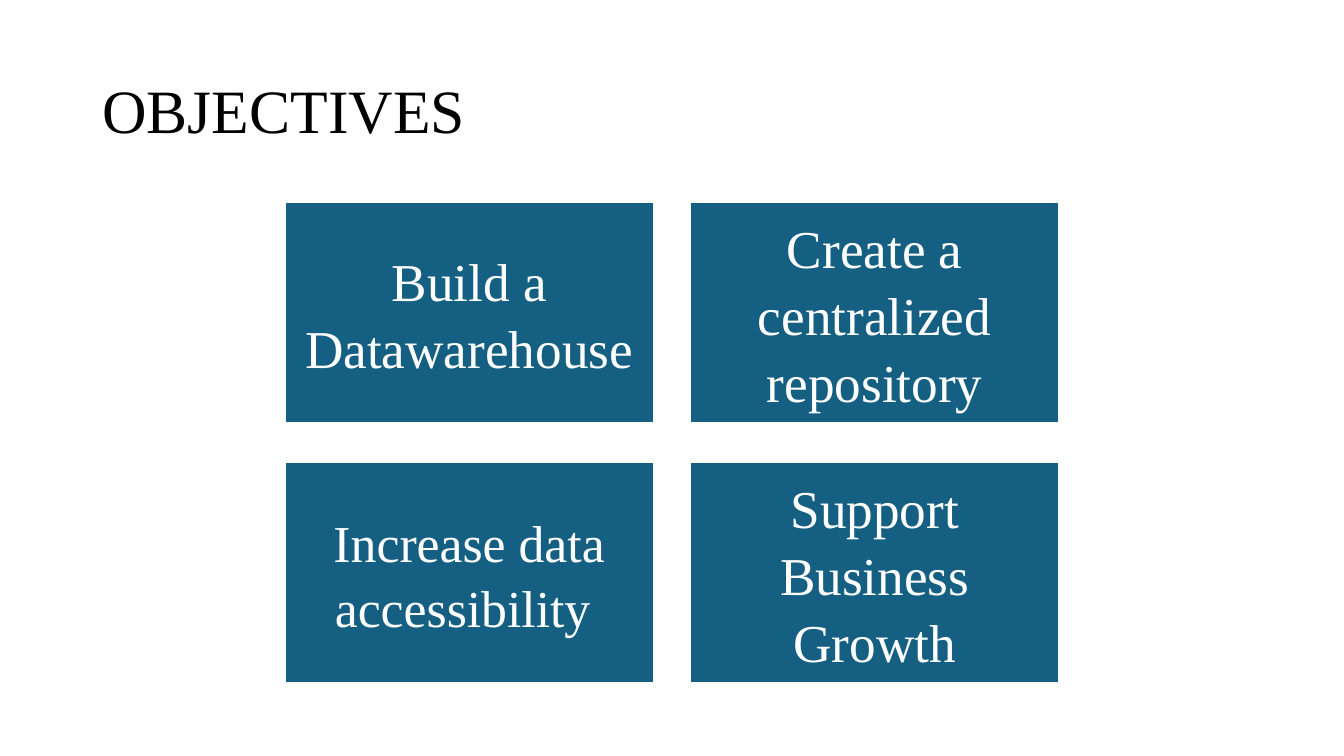
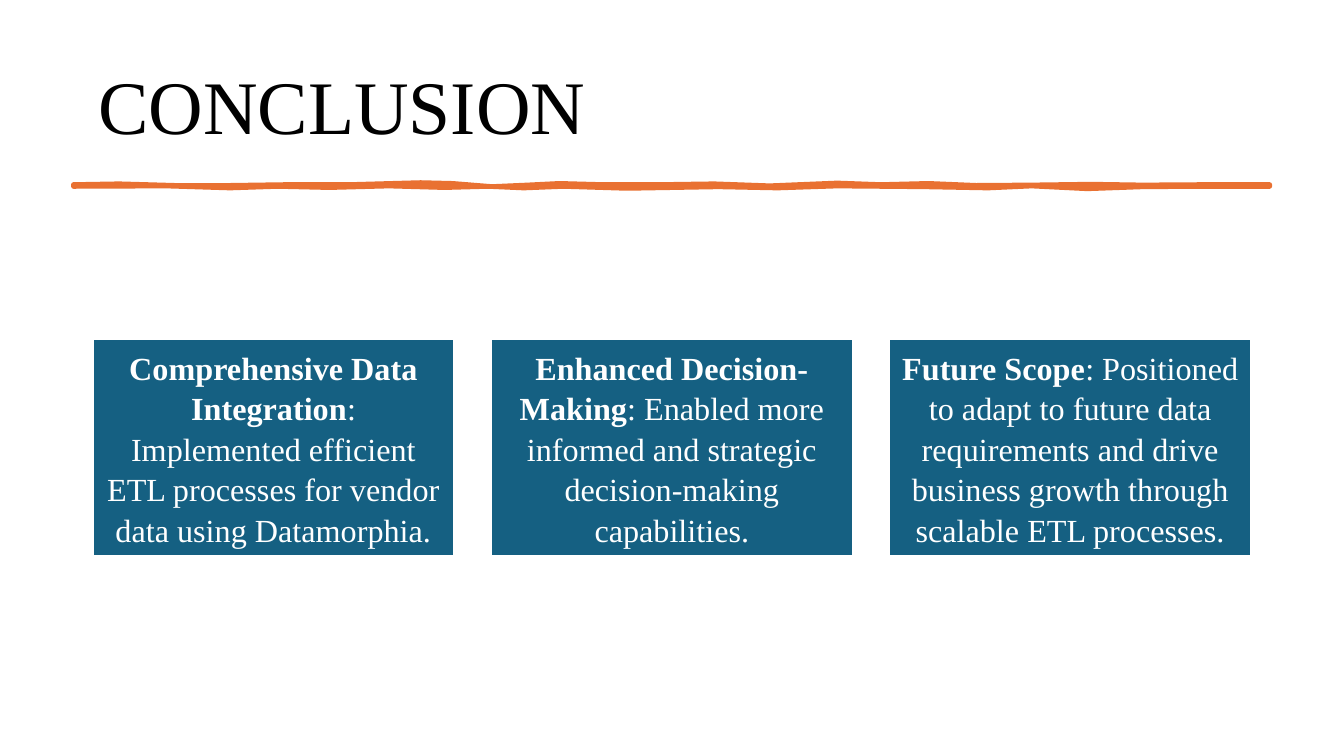
"""Build the objectives and conclusion slides."""
from dataclasses import dataclass

from pptx import Presentation
from pptx.dml.color import RGBColor
from pptx.enum.shapes import MSO_SHAPE as Shape
from pptx.enum.text import MSO_ANCHOR as Anchor, PP_ALIGN as Align
from pptx.util import Cm, Pt

COLOURS = {"ink": "000000", "paper": "FFFFFF", "card": "156082", "brush": "E97132"}
FONT = "Times New Roman"
SLIDE_WIDTH, SLIDE_HEIGHT = 33.87, 19.05
GAP = 0.92
BRUSH_LEFT, BRUSH_RIGHT, BRUSH_Y = 1.85, 32.0, 4.65
BRUSH_TOP = [
    (3.0, -0.02), (4.4, 0.02), (5.8, 0.02), (7.2, 0), (8.8, 0), (10.6, -0.05),
    (11.4, -0.03), (12.4, 0.05), (13.3, 0.01), (14.1, -0.03), (15.2, 0),
    (16.6, 0), (18.0, -0.02), (19.4, 0.03), (21.1, -0.04), (22.2, 0),
    (23.4, -0.03), (24.6, 0.02), (26.0, 0.01), (27.5, -0.01), (28.8, 0.01),
    (30.3, 0),
]
BRUSH_BOTTOM = [
    (30.4, 0.05), (28.8, 0.06), (27.4, 0.11), (26.0, 0.04), (24.9, 0.09),
    (23.3, 0.06), (21.1, 0.04), (19.6, 0.09), (18.1, 0.06), (15.8, 0.1),
    (14.2, 0.05), (13.2, 0.09), (12.3, 0.05), (11.2, 0.08), (9.8, 0.04),
    (8.3, 0.08), (7.0, 0.05), (5.8, 0.09), (4.2, 0.04),
]


@dataclass(frozen=True)
class Card:
    body: str
    lead: str = ""
    size: int = 38


@dataclass(frozen=True)
class CardGrid:
    columns: int
    top: float
    width: float
    height: float
    inset: float
    cards: list[Card]


@dataclass(frozen=True)
class Title:
    text: str
    size: int
    left: float
    top: float


OBJECTIVES = CardGrid(2, 5.09, 9.3, 5.57, 0.4, [
    Card("Build a Datawarehouse"),
    Card("Create a centralized repository"),
    Card("Increase data accessibility ", size=37),
    Card("Support Business Growth"),
])
CONCLUSIONS = CardGrid(3, 8.53, 9.12, 5.48, 0.25, [
    Card(": Implemented efficient ETL processes for vendor data using Datamorphia.",
         "Comprehensive Data Integration", 23),
    Card(": Enabled more informed and strategic decision-making capabilities.",
         "Enhanced Decision-Making", 23),
    Card(": Positioned to adapt to future data requirements and drive business "
         "growth through scalable ETL processes.", "Future Scope", 23),
])


def colour(name: str) -> RGBColor:
    return RGBColor.from_string(COLOURS[name])


def paint(box, fill: str, line: str, width: float) -> None:
    box.shadow.inherit = False
    box.fill.solid()
    box.fill.fore_color.rgb = colour(fill)
    box.line.color.rgb = colour(line)
    box.line.width = Pt(width)


def add_span(para, text: str, size: int, ink: str, bold: bool = False) -> None:
    span = para.add_run()
    span.text = text
    span.font.name = FONT
    span.font.size = Pt(size)
    span.font.bold = bold
    span.font.color.rgb = colour(ink)


def add_title(page, title: Title) -> None:
    box = page.shapes.add_textbox(Cm(title.left), Cm(title.top), Cm(29.21), Cm(3.68))
    frame = box.text_frame
    frame.word_wrap = True
    frame.vertical_anchor = Anchor.MIDDLE
    para = frame.paragraphs[0]
    para.line_spacing = 0.9
    add_span(para, title.text, title.size, "ink")


def add_card(page, card: Card, grid: CardGrid, left: float, top: float) -> None:
    box = page.shapes.add_shape(
        Shape.RECTANGLE, Cm(left), Cm(top), Cm(grid.width), Cm(grid.height))
    paint(box, "card", "paper", 1.5)
    frame = box.text_frame
    frame.word_wrap = True
    frame.vertical_anchor = Anchor.MIDDLE
    frame.margin_left = frame.margin_right = Cm(grid.inset)
    frame.margin_top = frame.margin_bottom = Cm(grid.inset)
    para = frame.paragraphs[0]
    para.alignment = Align.CENTER
    para.line_spacing = 1.05
    if card.lead:
        add_span(para, card.lead, card.size, "paper", bold=True)
    add_span(para, card.body, card.size, "paper")


def add_grid(page, grid: CardGrid) -> None:
    total = grid.columns * grid.width + (grid.columns - 1) * GAP
    first = (SLIDE_WIDTH - total) / 2
    for index, card in enumerate(grid.cards):
        row, column = divmod(index, grid.columns)
        add_card(page, card, grid, first + column * (grid.width + GAP),
                 grid.top + row * (grid.height + GAP + 0.06))


def add_brush_line(page) -> None:
    outline = [*BRUSH_TOP, (BRUSH_RIGHT, 0), (BRUSH_RIGHT, 0.05),
               *BRUSH_BOTTOM, (BRUSH_LEFT, 0.05)]
    builder = page.shapes.build_freeform(Cm(BRUSH_LEFT), Cm(BRUSH_Y))
    builder.add_line_segments([(Cm(x), Cm(BRUSH_Y + y)) for x, y in outline])
    paint(builder.convert_to_shape(), "brush", "brush", 3.25)


def add_page(deck, title: Title, grid: CardGrid):
    page = deck.slides.add_slide(deck.slide_layouts[6])
    add_title(page, title)
    add_grid(page, grid)
    return page


def main() -> None:
    deck = Presentation()
    deck.slide_width, deck.slide_height = Cm(SLIDE_WIDTH), Cm(SLIDE_HEIGHT)
    add_page(deck, Title("OBJECTIVES", 44, 2.33, 1.01), OBJECTIVES)
    conclusion = add_page(deck, Title("CONCLUSION", 54, 2.23, 0.92), CONCLUSIONS)
    add_brush_line(conclusion)
    deck.save("out.pptx")


if __name__ == "__main__":
    main()
